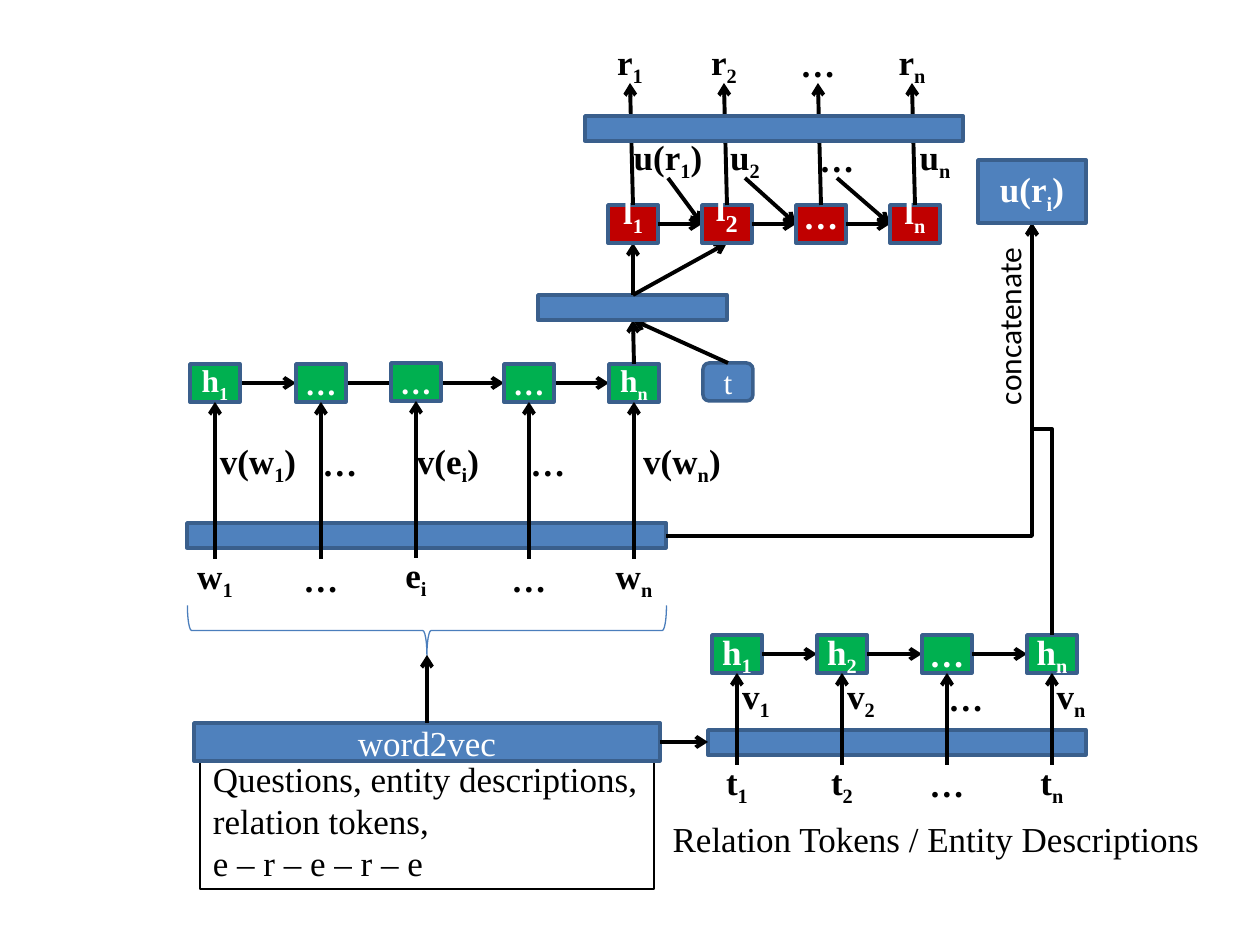
from lxml.etree import SubElement
from pptx import Presentation
from pptx.dml.color import RGBColor
from pptx.enum.shapes import MSO_CONNECTOR as CONN, MSO_SHAPE as SHAPE
from pptx.enum.text import MSO_ANCHOR as ANCHOR, MSO_AUTO_SIZE as FIT, PP_ALIGN as ALIGN
from pptx.oxml.ns import qn
from pptx.util import Emu, Pt

SCALE = 914400 / 126
GREEN, RED, BLUE, EDGE = "00B050", "C00000", "4F81BD", "3A5F8C"
BLACK, WHITE, BRACE = "000000", "FFFFFF", "4B7EBC"
W, H = 50, 38  # size of one network cell


def px(n):
    return Emu(round(n * SCALE))


def rgb(code):
    return RGBColor.from_string(code)


class Diagram:
    font = "Times New Roman"

    def __init__(self, slide):
        self.s = slide

    def set_text(self, sp, text, size=20, color=BLACK, bold=True, inset=0, align=ALIGN.CENTER,
                 anchor=ANCHOR.MIDDLE, wrap=True, grow=False, font=font, sub_size=None):
        """Set the text; the character after an underscore becomes a subscript."""
        tf = sp.text_frame
        tf.word_wrap = wrap
        tf.auto_size = FIT.SHAPE_TO_FIT_TEXT if grow else FIT.NONE
        tf.vertical_anchor = anchor
        tf.margin_left = tf.margin_right = px(inset)
        tf.margin_top = tf.margin_bottom = px(6)
        p = tf.paragraphs[0]
        base, _, tail = text.partition("_")
        p.text = base
        p.alignment = align
        for part in filter(None, (tail[:1], tail[1:])):
            p.add_run().text = part
        for i, r in enumerate(p.runs):
            is_sub = bool(tail) and i == 1
            r.font.name, r.font.bold = font, bold
            r.font.size = Pt(sub_size if is_sub and sub_size else size)
            r.font.color.rgb = rgb(color)
            if is_sub:
                r.font._element.set("baseline", "-25000")

    def box(self, x, y, w, h, fill=BLUE, text=None, kind=SHAPE.RECTANGLE, edge=EDGE,
            width=2, rotation=0, color=WHITE, **style):
        sp = self.s.shapes.add_shape(kind, px(x), px(y), px(w), px(h))
        sp.shadow.inherit = False
        sp.rotation = rotation
        if fill:
            sp.fill.solid()
            sp.fill.fore_color.rgb = rgb(fill)
        else:
            sp.fill.background()
        sp.line.color.rgb = rgb(edge)
        sp.line.width = Pt(width)
        if text:
            self.set_text(sp, text, color=color, **style)

    def label(self, x, y, text, w=W, h=H, rotation=0, **style):
        sp = self.s.shapes.add_textbox(px(x), px(y), px(w), px(h))
        sp.rotation = rotation
        self.set_text(sp, text, **style)

    def arrow(self, x1, y1, x2, y2, kind=CONN.STRAIGHT, preset=None, rotation=0):
        c = self.s.shapes.add_connector(kind, px(x1), px(y1), px(x2), px(y2))
        c.line.color.rgb = rgb(BLACK)
        c.line.width = Pt(2.25)
        props = c._element.spPr
        SubElement(props.find(qn("a:ln")), qn("a:tailEnd"), type="arrow")
        SubElement(props, qn("a:effectLst"))
        if preset:
            props.find(qn("a:prstGeom")).set("prst", preset)
        if rotation:
            props.find(qn("a:xfrm")).set("rot", str(rotation * 60000))


prs = Presentation()
prs.slide_width, prs.slide_height = px(1260), px(945)
d = Diagram(prs.slides.add_slide(prs.slide_layouts[6]))

# Question encoder: bar, cells, words and embeddings
d.box(187, 523, 479, 25)
for x1, x2 in ((241, 296), (346, 504), (554, 609)):
    d.arrow(x1, 383, x2, 383)
encoder = [  # x, y, cell, word, embedding, its x and width
    (190, 364, "h_1", "w_1", "v(w_1)", 214, 88),
    (296, 364, "…", "…", "…", 315, W),
    (391, 363, "…", "e_i", "v(e_i)", 410, 76),
    (504, 364, "…", "…", "…", 523, W),
    (609, 364, "h_n", "w_n", "v(w_n)", 638, 88)]
for x, y, cell, word, vector, vx, vw in encoder:
    d.box(x, y, W, H, GREEN, cell, size=18)
    d.label(x, y + 195, word)
    d.arrow(x + 25, y + 195, x + 25, y + 38)
    d.label(vx, 444, vector, w=vw)

# Question vector and type feeding the decoder
d.box(703, 363, W, H, text="t", kind=SHAPE.ROUNDED_RECTANGLE, size=18, bold=False, inset=13)
d.arrow(634, 364, 633, 320)
d.arrow(728, 363, 633, 320)
d.box(538, 295, 189, 25)
d.arrow(633, 295, 633, 243)
d.arrow(633, 295, 727, 243)

# Relation decoder
decoder = [  # cell, output, state, state x and width
    ("l_1", "r_1", "u(r_1)", 624, 88),
    ("l_2", "r_2", "u_2", 720, W),
    ("…", "…", "…", 812, W),
    ("l_n", "r_n", "u_n", 910, W)]
for i, (cell, output, state, ux, uw) in enumerate(decoder):
    x = 608 + 94 * i
    d.box(x, 205, W, H, RED, cell, anchor=ANCHOR.BOTTOM, sub_size=24 if i == 1 else None)
    d.arrow(x + 25, 205, x + 22, 83)
    d.label(x - 3, 45, output)
    d.label(ux, 140, state, w=uw)
    if i < 3:
        d.arrow(x + W, 224, x + 94, 224)
        d.arrow(ux + uw / 2, 178, x + 94, 224)
d.box(585, 116, 378, 25)

# Relation token encoder
d.box(708, 730, 378, 25)
for i, n in enumerate(("1", "2", "", "n")):
    x = 712 + 105 * i
    cell, token, vector = (f"{c}_{n}" if n else "…" for c in "htv")
    d.box(x, 635, W, H, GREEN, cell)
    d.label(x, 765, token)
    d.arrow(x + 25, 765, x + 25, 673)
    d.label(x + 19, 679, vector)
    if i < 3:
        d.arrow(x + W, 654, x + 105, 654)
d.label(640, 811, "Relation Tokens / Entity Descriptions", w=592, h=55, bold=False,
        inset=13, anchor=ANCHOR.TOP, grow=True)

# Embedding source and brace
d.box(200, 751, 454, 138, None, "Questions, entity descriptions, relation tokens,\ve – r – e – r – e",
      edge=BLACK, width=0.75, color=BLACK, bold=False, inset=13, align=ALIGN.LEFT,
      anchor=ANCHOR.TOP, grow=True)
d.box(194, 723, 466, H, text="word2vec", bold=False, inset=13)
d.box(402, 391, W, 479, None, kind=SHAPE.LEFT_BRACE, edge=BRACE, width=0.75, rotation=270)
d.arrow(427, 723, 427, 655)
d.arrow(660, 742, 708, 742)

# Concatenated relation representation
d.arrow(666, 536, 1032, 223, CONN.ELBOW, preset="bentConnector2")
d.arrow(836, 439, 1248, 419, CONN.ELBOW, rotation=270)
d.box(978, 160, 108, 63, text="u(r_i)", inset=13)
d.label(917, 301, "concatenate", w=184, h=W, rotation=270, size=18, bold=False, inset=13,
        align=ALIGN.LEFT, anchor=ANCHOR.TOP, wrap=False, grow=True, font="Calibri")

prs.save("out.pptx")
